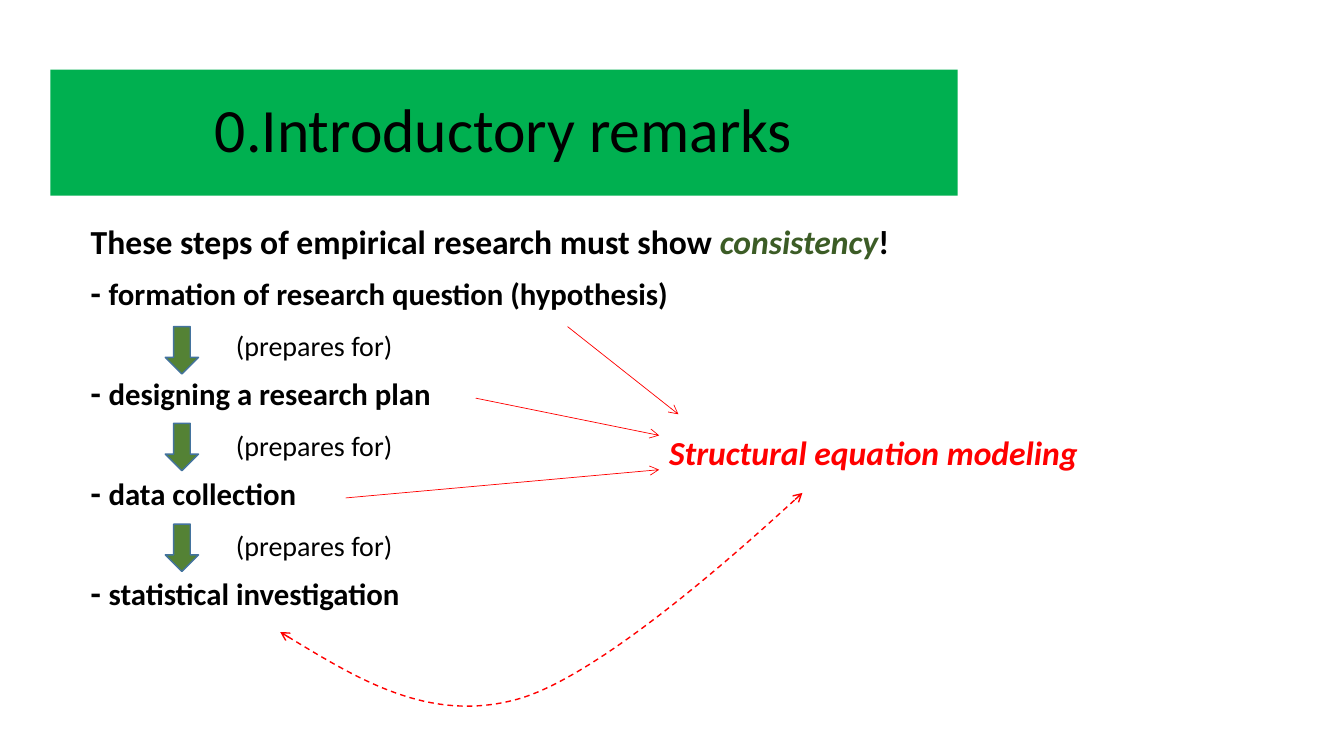
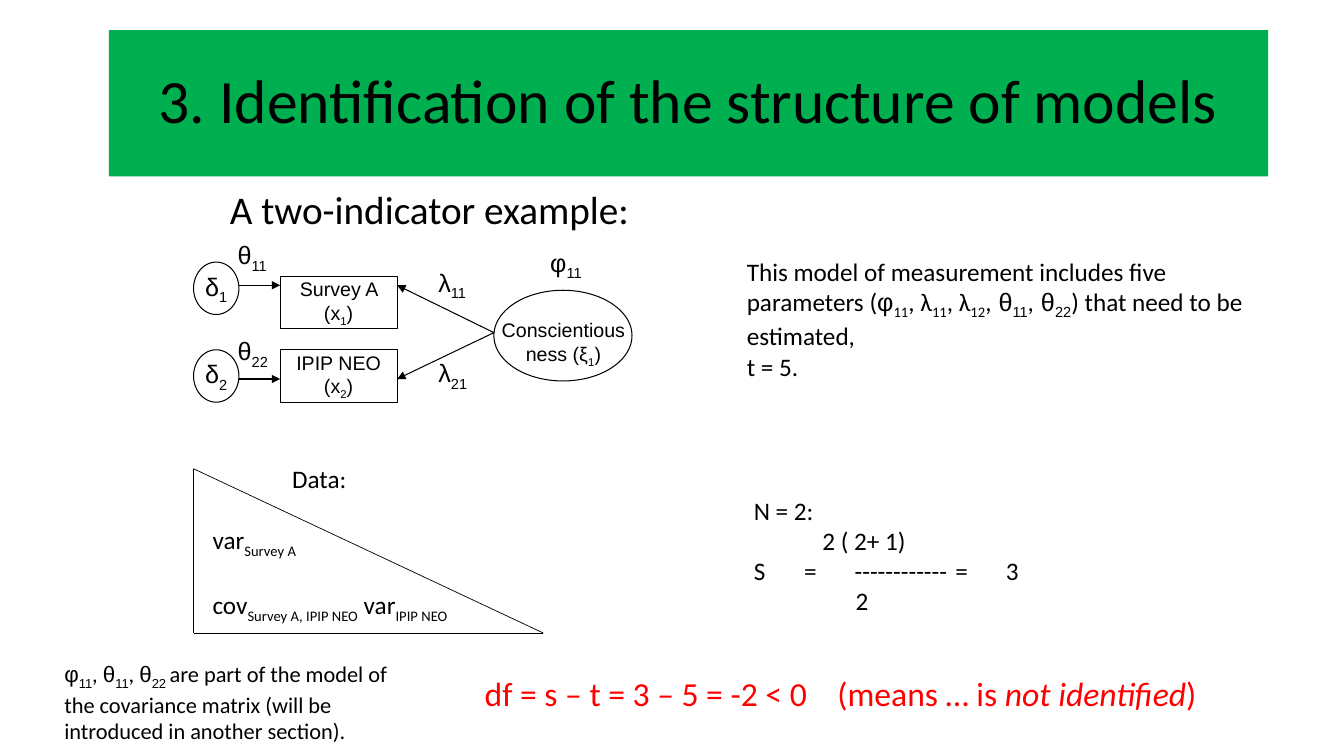
from dataclasses import dataclass

from lxml import etree
from pptx import Presentation
from pptx import util as u
from pptx.dml.color import RGBColor
from pptx.enum import dml, shapes, text
from pptx.oxml.ns import qn

CELL = u.Inches(0.1)  # all places and sizes are counted in cells of this grid
COLUMNS, ROWS = 133.33, 75
COLORS = {
    "band": "00B050", "ink": "000000", "paper": "FFFFFF", "accent": "FF0000",
    "step": "548235", "step_edge": "43739E", "emphasis": "3C5C26",
}
BODY_FONT, SYMBOL_FONT = "Calibri", "Arial"
TIGHT = 0.9
CENTER = text.PP_ALIGN.CENTER
MIDDLE = text.MSO_ANCHOR.MIDDLE


@dataclass
class Run:
    words: str
    size: float = None
    color: str = None
    font: str = None
    bold: bool = None
    italic: bool = None
    lowered: bool = False


@dataclass
class Line:
    runs: list
    before: float = 0
    indent: float = 0
    tabs: tuple = ()


def cells(*counts):
    return [u.Emu(round(count * CELL)) for count in counts]


def rgb(name):
    return RGBColor.from_string(COLORS[name])


def symbol(letter, index, index_font=SYMBOL_FONT, letter_font=SYMBOL_FONT):
    """A letter followed by its lowered index."""
    return [Run(letter, font=letter_font), Run(index, font=index_font, lowered=True)]


def add_run(paragraph, part, size, color, font, bold):
    run = paragraph.add_run()
    run.text = part.words
    run.font.size = u.Pt(part.size or size)
    run.font.name = part.font or font
    run.font.bold = bold if part.bold is None else part.bold
    run.font.italic = bool(part.italic)
    run.font.color.rgb = rgb(part.color or color)
    if part.lowered:
        run.font._element.set("baseline", "-25000")


def format_paragraph(paragraph, line, align, spacing):
    properties = paragraph._p.get_or_add_pPr()
    properties.set("marL", str(cells(line.indent)[0]))
    properties.set("indent", "0")
    etree.SubElement(properties, qn("a:buNone"))
    if line.tabs:
        stops = etree.SubElement(properties, qn("a:tabLst"))
        for stop in line.tabs:
            etree.SubElement(stops, qn("a:tab"), pos=str(cells(stop)[0]), algn="l")
    paragraph.alignment = align
    paragraph.line_spacing = spacing
    paragraph.space_before = u.Pt(line.before)


def write(shape, lines, size, color="ink", font=BODY_FONT, bold=False,
          align=text.PP_ALIGN.LEFT, anchor=text.MSO_ANCHOR.TOP, spacing=1.0):
    frame = shape.text_frame
    frame.word_wrap = True
    frame.auto_size = text.MSO_AUTO_SIZE.NONE
    frame.vertical_anchor = anchor
    for number, line in enumerate(lines):
        paragraph = frame.add_paragraph() if number else frame.paragraphs[0]
        format_paragraph(paragraph, line, align, spacing)
        for part in line.runs:
            add_run(paragraph, part, size, color, font, bold)


def place(shape, box):
    shape.left, shape.top, shape.width, shape.height = cells(*box)


def add_slide(presentation, title, title_box, body_box):
    """A slide with its green title band; returns the slide and its body."""
    slide = presentation.slides.add_slide(presentation.slide_layouts[1])
    band, body = slide.placeholders
    place(band, title_box)
    place(body, body_box)
    band.fill.solid()
    band.fill.fore_color.rgb = rgb("band")
    write(band, [Line([Run(title)])], 44, align=CENTER, anchor=MIDDLE, spacing=TIGHT)
    return slide, body


def add_text(slide, box, lines, size, **style):
    write(slide.shapes.add_textbox(*cells(*box)), lines, size, **style)


def add_label(slide, left, top, width, letter, index):
    add_text(slide, (left, top, width, 4), [Line(symbol(letter, index))], 18)


def add_outline(slide, kind, box, fill=None, line="ink", weight=0.75):
    shape = slide.shapes.add_shape(kind, *cells(*box))
    shape.shadow.inherit = False
    if fill:
        shape.fill.solid()
        shape.fill.fore_color.rgb = rgb(fill)
    else:
        shape.fill.background()
    shape.line.color.rgb = rgb(line)
    shape.line.width = u.Pt(weight)
    return shape


def set_ends(line, **ends):
    """Arrowheads: headEnd sits at the start, tailEnd at the end."""
    properties = line._get_or_add_ln()
    for name in ("headEnd", "tailEnd"):
        if name in ends:
            etree.SubElement(properties, qn(f"a:{name}"), type=ends[name])


def add_line(slide, start, end, color="ink", weight=0.75, arrow=None):
    connector = slide.shapes.add_connector(
        shapes.MSO_CONNECTOR.STRAIGHT, *cells(*start, *end))
    connector.line.color.rgb = rgb(color)
    connector.line.width = u.Pt(weight)
    if arrow:
        set_ends(connector.line, tailEnd=arrow)
    etree.SubElement(connector._element.spPr, qn("a:effectLst"))


def add_curve(slide, start, bends):
    """A dashed two-headed curve; each bend is two control points and an end."""
    builder = slide.shapes.build_freeform(*cells(*start))
    builder.add_line_segments([cells(*bend[-1]) for bend in bends], close=False)
    curve = builder.convert_to_shape()
    curve.shadow.inherit = False
    curve.fill.background()
    segments = list(curve._element.iter(qn("a:lnTo")))
    for segment, bend in zip(segments, bends):
        bezier = etree.Element(qn("a:cubicBezTo"))
        for point in bend:
            x, y = cells(*point)
            etree.SubElement(bezier, qn("a:pt"), x=str(x - curve.left), y=str(y - curve.top))
        segment.getparent().replace(segment, bezier)
    curve.line.color.rgb = rgb("accent")
    curve.line.width = u.Pt(1)
    curve.line.dash_style = dml.MSO_LINE.DASH
    set_ends(curve.line, headEnd="arrow", tailEnd="arrow")


def build_introduction(presentation):
    slide, body = add_slide(presentation, "0.Introductory remarks",
                            (5, 6.9, 90, 12.5), (8, 21.9, 90, 49.5))
    lines = [Line([Run("These steps of empirical research must show "),
                   Run("consistency", color="emphasis", italic=True), Run("!")])]
    steps = ("formation of research question (hypothesis)", "designing a research plan",
             "data collection", "statistical investigation")
    for number, step in enumerate(steps):
        if number:
            lines.append(Line([Run("(prepares for)", size=20, bold=False)], 14, 14.4))
        lines.append(Line([Run("- "), Run(step, size=22)], 10))
    write(body, lines, 24, bold=True, spacing=TIGHT)

    add_text(slide, (65.4, 42.4, 47.7, 5),
             [Line([Run("Structural equation modeling", italic=True)])],
             24, color="accent", bold=True)
    for top in (32.4, 42, 52):
        add_outline(slide, shapes.MSO_SHAPE.DOWN_ARROW, (16.4, top, 3.3, 4.7),
                    "step", "step_edge", 1)
    for start, end in (((56.3, 32.4), (67.3, 41.1)), ((47.2, 39.5), (65.4, 43.2)),
                       ((34.3, 49.4), (65.4, 46.6))):
        add_line(slide, start, end, "accent", 0.5, "arrow")
    add_curve(slide, (27.8, 62.7), [((35.2, 67.2), (42.6, 71.7), (51.2, 69.4)),
                                    ((59.9, 67.1), (79.6, 48.9), (79.6, 48.9))])


def draw_measurement_model(slide):
    indicators = (("1", "Survey A", 26, 27.4, 28.3, 23.3, 26),
                  ("2", "IPIP NEO", 34.7, 34.7, 37.6, 32.8, 35))
    for index, name, circle, box, arrow, theta, loading in indicators:
        error = add_outline(slide, shapes.MSO_SHAPE.OVAL, (19.2, circle, 4.5, 5.2), "paper")
        frame = error.text_frame
        frame.margin_left = frame.margin_right = frame.margin_top = frame.margin_bottom = 0
        write(error, [Line(symbol("δ", index))], 18, align=CENTER, anchor=MIDDLE)
        indicator = add_outline(slide, shapes.MSO_SHAPE.RECTANGLE, (27.8, box, 11.6, 5.2))
        write(indicator, [Line([Run(f"{name} (x"), Run(index, lowered=True), Run(")")])],
              14, font=SYMBOL_FONT, align=CENTER, anchor=MIDDLE)
        add_line(slide, (23.7, arrow), (27.8, arrow), arrow="triangle")
        add_line(slide, (49, 33), (39.4, arrow), arrow="triangle")
        add_label(slide, 22.6, theta, 6.3, "θ", index * 2)
        add_label(slide, 42.5, loading, 5.8, "λ", index + "1")
    add_outline(slide, shapes.MSO_SHAPE.OVAL, (49, 28.8, 13.7, 9))
    add_text(slide, (48.7, 31.1, 14.4, 5.7),
             [Line([Run("Conscientiousness (ξ"), Run("1", lowered=True), Run(")")])],
             14, font=SYMBOL_FONT, align=CENTER)
    add_label(slide, 53.6, 24, 5.8, "φ", "11")


def draw_data_triangle(slide):
    top, corner, right = (19.2, 46.5), (19.2, 62.8), (53.9, 62.8)
    for start, end in ((top, right), (top, corner), (corner, right)):
        add_line(slide, start, end, weight=0.5)
    add_text(slide, (20.1, 45.5, 28.9, 16.2), [
        Line([Run("Data:")], indent=7.9),
        Line([Run("var"), Run("Survey A", lowered=True)], 22),
        Line([Run("cov"), Run("Survey A, IPIP NEO", lowered=True),
              Run("\tvar"), Run("IPIP NEO", lowered=True)], 22, tabs=(15.7,)),
    ], 18)


def build_identification(presentation):
    slide, body = add_slide(presentation, "3. Identification of the structure of models",
                            (10.8, 3, 115, 14.5), (21.8, 18.4, 90, 49.5))
    write(body, [Line([Run("A two-indicator example:")])], 28, spacing=TIGHT)
    draw_measurement_model(slide)
    draw_data_triangle(slide)

    add_text(slide, (73.1, 24.9, 52.8, 13.1), [
        Line([Run("This model of measurement includes five parameters (")]
             + symbol("φ", "11", BODY_FONT)
             + symbol(", λ", "11", BODY_FONT, BODY_FONT)
             + symbol(", λ", "12", BODY_FONT, BODY_FONT)
             + [Run(",")] + symbol(" θ", "11")
             + [Run(",")] + symbol(" θ", "22")
             + [Run(") that need to be estimated,")]),
        Line([Run("t = 5.")]),
    ], 18)
    add_text(slide, (73.8, 48.6, 32.6, 13.1), [
        Line([Run("N = 2:")]),
        Line([Run("2 ( 2+ 1)")], indent=6.8),
        Line([Run("S\t=\t------------\t=\t3")], tabs=(2.8, 6.3, 16.7, 20.1)),
        Line([Run("2")], indent=10.1),
    ], 18)
    add_text(slide, (47.1, 66.3, 81.1, 5), [
        Line([Run("df = s – t = 3 – 5 = -2 < 0\t(means … is "),
              Run("not identified", italic=True), Run(")")], tabs=(35,)),
    ], 24, color="accent")
    add_text(slide, (5.4, 65, 37, 9.1), [
        Line(symbol("φ", "11") + [Run(", ")] + symbol("θ", "11") + [Run(", ")]
             + symbol("θ", "22 ")
             + [Run("are part of the model of the covariance matrix "
                    "(will be introduced in another section).")]),
    ], 16)


def main():
    presentation = Presentation()
    presentation.slide_width, presentation.slide_height = cells(COLUMNS, ROWS)
    build_introduction(presentation)
    build_identification(presentation)
    presentation.save("out.pptx")


if __name__ == "__main__":
    main()
